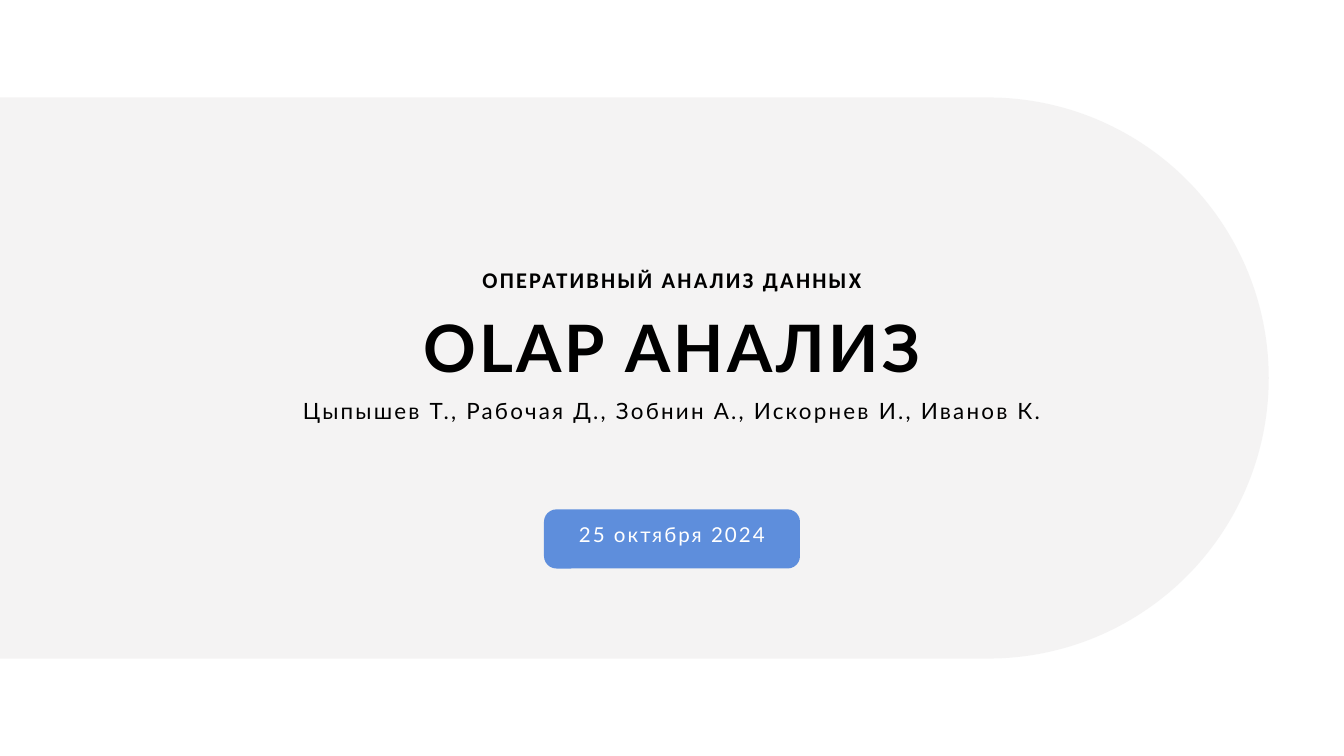
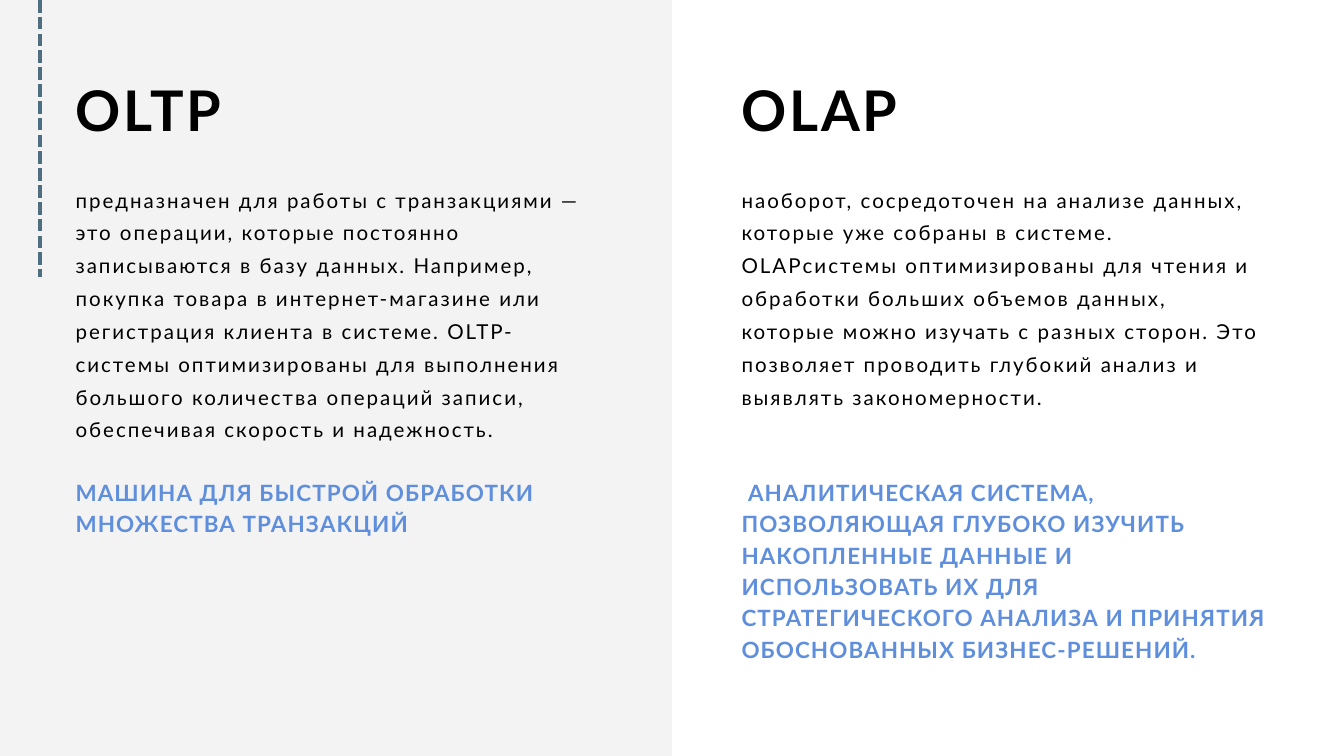
from pptx import Presentation
from pptx.dml.color import RGBColor
from pptx.enum.dml import MSO_LINE
from pptx.enum.shapes import MSO_CONNECTOR, MSO_SHAPE
from pptx.enum.text import MSO_ANCHOR, MSO_AUTO_SIZE, PP_ALIGN
from pptx.oxml.ns import qn
from pptx.util import Inches, Pt
from lxml.etree import SubElement

WIDTH, HEIGHT = 20, 11.25
TITLE_ONLY = 5

BLACK = RGBColor(0x00, 0x00, 0x00)
WHITE = RGBColor(0xFF, 0xFF, 0xFF)
PANEL = RGBColor(0xF2, 0xF1, 0xF1)
BLUE = RGBColor(0x5E, 0x8E, 0xDC)
SLATE = RGBColor(0x4E, 0x6E, 0x81)


def centred(width):
    return (WIDTH - width) / 2, width


# Columns and rows: left, width; top, height
MARGIN = HEIGHT / 10
COLUMN_WIDTH = 7.84
CENTRE, BADGE = centred(13.53), centred(3.81)
LEFT = (MARGIN, COLUMN_WIDTH)
RIGHT = (WIDTH - MARGIN - COLUMN_WIDTH, COLUMN_WIDTH)
HEADING_ROW, BODY_ROW, SUMMARY_ROW = (0.95, 1.18), (2.67, 3.82), (7.06, 3.21)

# Text styles: size, line spacing, letter spacing in points
COVER_TITLE = dict(size=69.99, leading=97.99, tracking=3.49, bold=True,
                   align=PP_ALIGN.CENTER)
HEADING = dict(size=59.99, leading=83.99, tracking=2.99, bold=True)
BODY = dict(size=21.99, leading=35.19, tracking=2.19)
SUMMARY = dict(size=23.99, leading=33.59, tracking=1.19, bold=True, color=BLUE)
BYLINE = dict(size=23.99, leading=33.59, tracking=2.39, align=PP_ALIGN.CENTER)
DATE = dict(size=21.99, leading=30.79, tracking=2.19, color=WHITE,
            align=PP_ALIGN.CENTER)

COLUMNS = [
    (LEFT, "OLTP",
     "предназначен для работы с транзакциями — это операции, которые постоянно "
     "записываются в базу данных. Например, покупка товара в интернет-магазине или "
     "регистрация клиента в системе. OLTP-системы оптимизированы для выполнения "
     "большого количества операций записи, обеспечивая скорость и надежность.",
     "МАШИНА ДЛЯ БЫСТРОЙ ОБРАБОТКИ МНОЖЕСТВА ТРАНЗАКЦИЙ"),
    (RIGHT, "OLAP",
     "наоборот, сосредоточен на анализе данных, которые уже собраны в системе. "
     "OLAPсистемы оптимизированы для чтения и обработки больших объемов данных, "
     "которые можно изучать с разных сторон. Это позволяет проводить глубокий "
     "анализ и выявлять закономерности.",
     " АНАЛИТИЧЕСКАЯ СИСТЕМА, ПОЗВОЛЯЮЩАЯ ГЛУБОКО ИЗУЧИТЬ НАКОПЛЕННЫЕ ДАННЫЕ И "
     "ИСПОЛЬЗОВАТЬ ИХ ДЛЯ СТРАТЕГИЧЕСКОГО АНАЛИЗА И ПРИНЯТИЯ ОБОСНОВАННЫХ "
     "БИЗНЕС-РЕШЕНИЙ."),
]


def write(shape, text, size, leading, tracking, bold=False, color=BLACK,
          align=PP_ALIGN.LEFT, font="Lato", anchor=MSO_ANCHOR.TOP, margins=(0, 0, 0, 0)):
    frame = shape.text_frame
    frame.word_wrap = True
    frame.auto_size = MSO_AUTO_SIZE.NONE
    frame.vertical_anchor = anchor
    (frame.margin_left, frame.margin_top,
     frame.margin_right, frame.margin_bottom) = map(Inches, margins)
    para = frame.paragraphs[0]
    para.text = text
    para.alignment = align
    para.line_spacing = Pt(leading)
    para.space_before = Pt(0)
    para.font.name, para.font.size, para.font.bold = font, Pt(size), bold
    para.font.color.rgb = color
    para.font._rPr.set("spc", str(round(tracking * 100)))


def add_text(page, column, row, text, **style):
    (left, width), (top, height) = column, row
    box = page.shapes.add_textbox(*map(Inches, (left, top, width, height)))
    write(box, text, **style)


def set_title(page, column, row, text, **style):
    (left, width), (top, height) = column, row
    title = page.shapes.title
    title.left, title.top, title.width, title.height = map(
        Inches, (left, top, width, height))
    write(title, text, **style)


def add_block(page, kind, column, row, color, rounding=None):
    (left, width), (top, height) = column, row
    block = page.shapes.add_shape(kind, *map(Inches, (left, top, width, height)))
    block.shadow.inherit = False
    block.fill.solid()
    block.fill.fore_color.rgb = color
    block.line.fill.background()
    if rounding is not None:
        block.adjustments[0] = rounding
    return block


def add_panel(page, kind, column, row, rounding=None):
    """Translucent grey block behind everything else."""
    panel = add_block(page, kind, column, row, PANEL, rounding)
    tint = panel._element.spPr.find(".//" + qn("a:srgbClr"))
    SubElement(tint, qn("a:alpha")).set("val", "80000")
    page.shapes._spTree.insert(2, panel._element)


def add_dashed_line(page, left, top, bottom):
    line = page.shapes.add_connector(
        MSO_CONNECTOR.STRAIGHT, *map(Inches, (left, top, left, bottom)))
    line.line.color.rgb = SLATE
    line.line.width = Pt(4.5)
    line.line.dash_style = MSO_LINE.SQUARE_DOT
    SubElement(line._element.spPr, qn("a:effectLst"))


def new_page(deck):
    page = deck.slides.add_slide(deck.slide_layouts[TITLE_ONLY])
    page.background.fill.solid()
    page.background.fill.fore_color.rgb = WHITE
    return page


def build_cover(deck):
    page = new_page(deck)
    # Pill that bleeds off the left edge
    add_panel(page, MSO_SHAPE.ROUNDED_RECTANGLE, (-4.31, 23.19), (1.45, 8.35), 0.5)
    # Date badge
    badge = add_block(page, MSO_SHAPE.ROUNDED_RECTANGLE, BADGE, (7.58, 0.88), BLUE, 0.21)
    write(badge, "25 октября 2024", anchor=MSO_ANCHOR.MIDDLE,
          margins=(0.06, 0.06, 0.06, 0.26), **DATE)
    # Title between topic and authors
    set_title(page, CENTRE, (4.38, 1.3), "OLAP АНАЛИЗ", **COVER_TITLE)
    add_text(page, CENTRE, (3.89, 0.42), "ОПЕРАТИВНЫЙ АНАЛИЗ ДАННЫХ",
             bold=True, font="Calibri", **BYLINE)
    add_text(page, CENTRE, (5.85, 0.43),
             "Цыпышев Т., Рабочая Д., Зобнин А., Искорнев И., Иванов К.", **BYLINE)


def build_comparison(deck):
    page = new_page(deck)
    # Shaded left half and dashed accent
    add_panel(page, MSO_SHAPE.RECTANGLE, (0, WIDTH / 2), (0, HEIGHT))
    add_dashed_line(page, 0.6, 0, 4.12)
    # One column for each system
    for column, heading, body, summary in COLUMNS:
        place_heading = set_title if column == LEFT else add_text
        place_heading(page, column, HEADING_ROW, heading, **HEADING)
        add_text(page, column, BODY_ROW, body, **BODY)
        add_text(page, column, SUMMARY_ROW, summary, **SUMMARY)


def main():
    deck = Presentation()
    deck.slide_width, deck.slide_height = Inches(WIDTH), Inches(HEIGHT)
    build_cover(deck)
    build_comparison(deck)
    deck.save("out.pptx")


if __name__ == "__main__":
    main()
